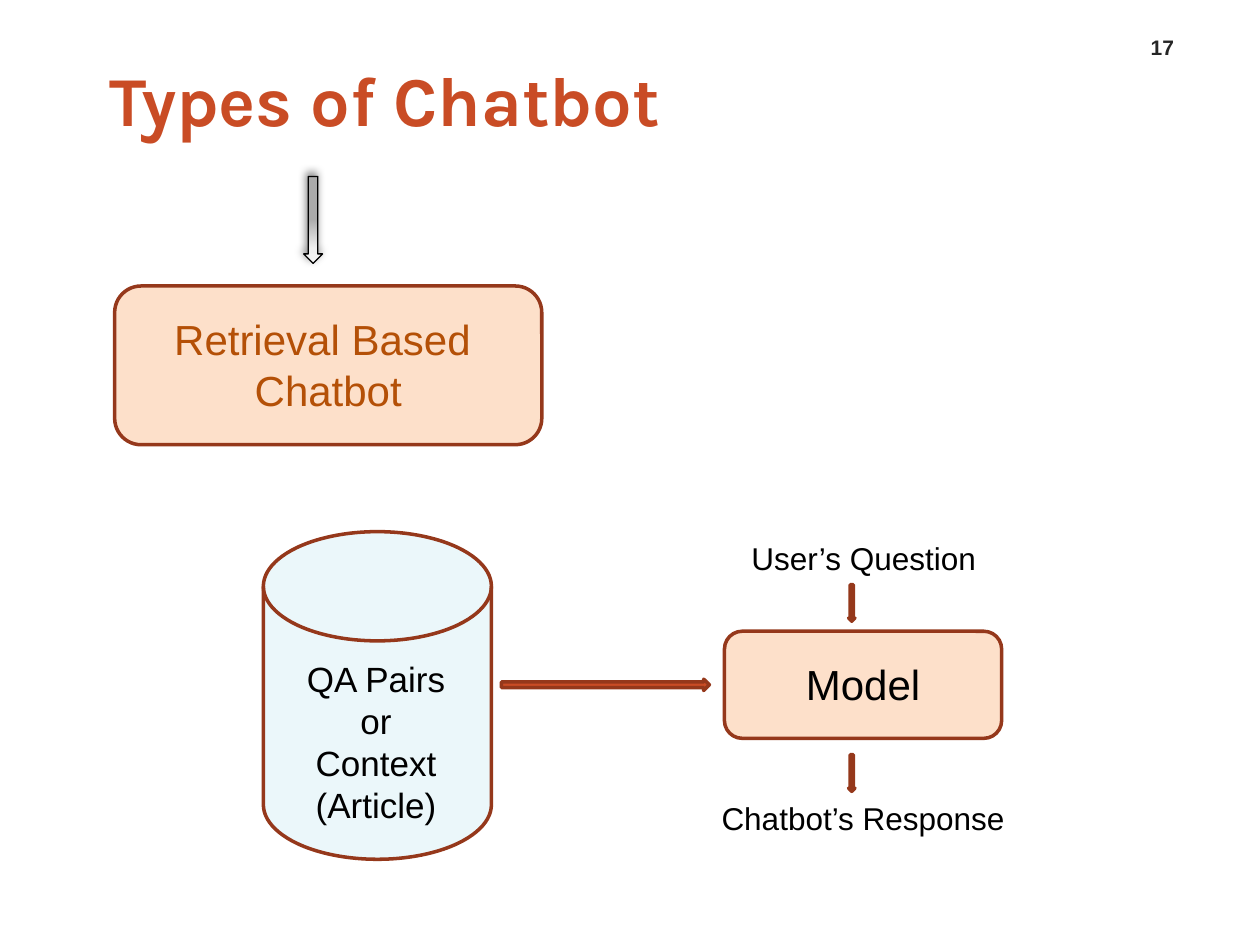
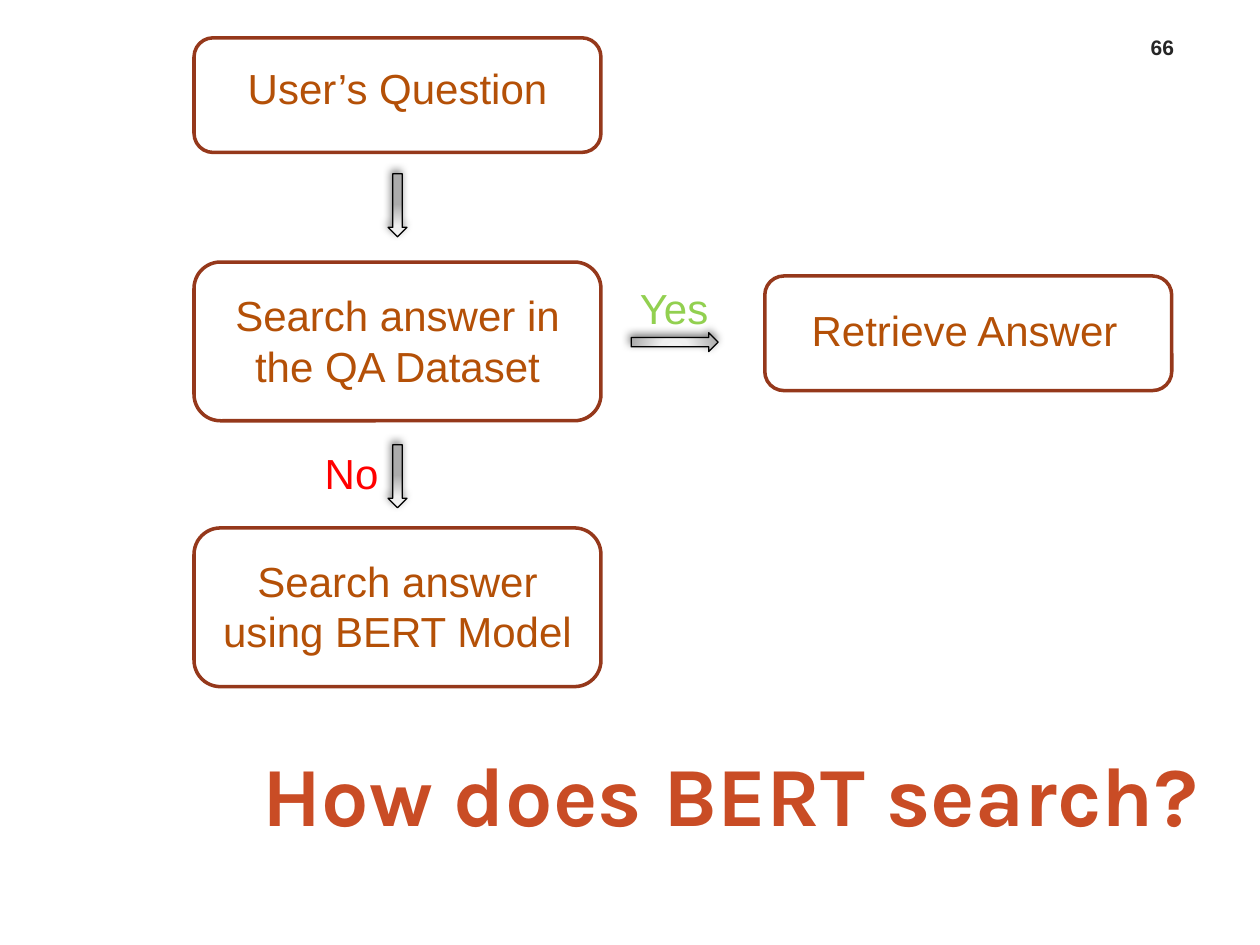
from lxml import etree
from pptx import Presentation
from pptx.dml.color import RGBColor
from pptx.enum.shapes import MSO_SHAPE
from pptx.enum.text import MSO_ANCHOR, PP_ALIGN
from pptx.oxml import parse_xml
from pptx.util import Inches, Pt

# The slide is a grid of 100 columns by 75 rows
CELL = Inches(0.1)
COLS, ROWS = 100, 75

RUST = RGBColor(0xC9, 0x4C, 0x25)
BROWN = RGBColor(0x95, 0x38, 0x1B)
AMBER = RGBColor(0xB4, 0x50, 0x07)
PEACH = RGBColor(0xFD, 0xE0, 0xCA)
ICE = RGBColor(0xEB, 0xF7, 0xFA)
BLACK = RGBColor(0, 0, 0)
GRAY = RGBColor(0x26, 0x26, 0x26)
GREEN = RGBColor(0x92, 0xD0, 0x50)
RED = RGBColor(0xFF, 0, 0)

ROUND = MSO_SHAPE.ROUNDED_RECTANGLE
DISK = MSO_SHAPE.FLOWCHART_MAGNETIC_DISK
DOWN = MSO_SHAPE.DOWN_ARROW
RIGHT = MSO_SHAPE.RIGHT_ARROW
LEFT, CENTER = PP_ALIGN.LEFT, PP_ALIGN.CENTER
TOP, MIDDLE, BOTTOM = MSO_ANCHOR.TOP, MSO_ANCHOR.MIDDLE, MSO_ANCHOR.BOTTOM

NS = 'xmlns:a="http://schemas.openxmlformats.org/drawingml/2006/main"'
SHEEN = f"""<a:gradFill {NS} rotWithShape="1"><a:gsLst>
<a:gs pos="0"><a:srgbClr val="F4F4F4"/></a:gs>
<a:gs pos="34000"><a:srgbClr val="EFEFEF"/></a:gs>
<a:gs pos="100000"><a:srgbClr val="ABABAB"/></a:gs></a:gsLst>
<a:path path="circle"><a:fillToRect l="110000" t="250000" r="110000" b="40000"/></a:path>
</a:gradFill>"""
SHADOW = f"""<a:effectLst {NS}><a:outerShdw blurRad="{Pt(5)}" dist="{Pt(2)}"
dir="{245 * 60000}" rotWithShape="0"><a:srgbClr val="000000"><a:alpha val="50000"/>
</a:srgbClr></a:outerShdw></a:effectLst>"""


def grid(*cells):
    return [round(n * CELL) for n in cells]


def write(slide, text, x, y, w, h, size=24, color=AMBER, font="Arial",
          bold=False, align=CENTER, anchor=TOP, indent=0, side=1):
    """Text in a box, one paragraph for each line."""
    frame = slide.shapes.add_textbox(*grid(x, y, w, h)).text_frame
    frame.word_wrap = True
    frame.vertical_anchor = anchor
    frame.margin_left = frame.margin_right = round(side * CELL)
    for i, line in enumerate(text.split("\n")):
        para = frame.paragraphs[0] if i == 0 else frame.add_paragraph()
        para.alignment = align
        if indent:
            para._p.get_or_add_pPr().set("marL", str(round(indent * CELL)))
        run = para.add_run()
        run.text = line
        run.font.name, run.font.size = font, Pt(size)
        run.font.bold, run.font.color.rgb = bold, color


def title(slide, text, x, y, w, h, size, align):
    write(slide, text, x, y, w, h, size=size, color=RUST, font="Karla",
          bold=True, align=align, anchor=MIDDLE, indent=2, side=0)


def shape(slide, kind, x, y, w, h, fill=None, line=BROWN, width=2):
    item = slide.shapes.add_shape(kind, *grid(x, y, w, h))
    item.shadow.inherit = False
    if fill is None:
        item.fill.background()
    else:
        item.fill.solid()
        item.fill.fore_color.rgb = fill
    item.line.color.rgb, item.line.width = line, Pt(width)
    return item


def card(slide, text, x, y, w, h, drop=1.7, shift=0, fill=None, color=AMBER):
    """Rounded box with its label set drop rows below the top."""
    shape(slide, ROUND, x, y, w, h, fill)
    write(slide, text, x + shift, y + drop, w, h - 2 * drop, color=color)


def arrow(slide, x, y, length, turn=0):
    """Glossy arrow with a soft shadow."""
    item = shape(slide, DOWN, x, y, 1.5, length, RUST, BLACK, 0.75)
    item.rotation = turn
    props = item._element.spPr
    fill = props.find(etree.QName(RUST_NS, "solidFill"))
    props.replace(fill, parse_xml(SHEEN))
    effect = props.find(etree.QName(RUST_NS, "effectLst"))
    props.replace(effect, parse_xml(SHADOW))


RUST_NS = "http://schemas.openxmlformats.org/drawingml/2006/main"


def page(deck, number):
    slide = deck.slides.add_slide(deck.slide_layouts[6])
    write(slide, number, 89.5, 1.9, 5.5, 3.3, size=12, color=GRAY,
          bold=True, anchor=BOTTOM)
    return slide


def types(deck):
    slide = page(deck, "17")
    title(slide, "Types of Chatbot", 6.7, 3.5, 48.8, 8.7, 40, LEFT)
    arrow(slide, 24.1, 14, 6.9)
    card(slide, "Retrieval Based \nChatbot", 9.1, 22.7, 33.9, 12.6, fill=PEACH)

    # Source of answers
    shape(slide, DISK, 20.9, 42.2, 18.1, 26, ICE)
    write(slide, "QA Pairs\nor\nContext (Article)", 22, 51.7, 15.7, 14.5,
          size=20, color=BLACK)

    # Question, model and response
    card(slide, "Model", 57.5, 50.1, 22, 8.5, fill=PEACH, color=BLACK)
    for text, x, y, w in (("User’s Question", 58.3, 42.3, 20.5),
                          ("Chatbot’s Response", 56.1, 62.9, 24.8)):
        write(slide, text, x, y, w, 4, size=18, color=BLACK)
    for y in (46.4, 59.9):
        shape(slide, DOWN, 67.35, y, 0.5, 2.9, RUST)
    shape(slide, RIGHT, 39.8, 53.9, 16.5, 0.9, RUST)


def search(deck):
    slide = page(deck, "66")
    left, wide, tall, low = 15.4, 32.3, 12.6, 9.1

    # Steps, top to bottom
    card(slide, "User’s Question", left, 3, wide, low, drop=1.5)
    card(slide, "Search answer in the QA Dataset", left, 20.8, wide, tall)
    card(slide, "Search answer using BERT Model", left, 41.9, wide, tall)
    for y in (13.8, 35.3):
        arrow(slide, left + wide / 2 - 0.75, y, 5)

    # Branches
    card(slide, "Retrieve Answer", 60.7, 21.9, wide, low, drop=1.8, shift=-0.3)
    arrow(slide, 52.8, 23.7, 6.9, turn=270)
    write(slide, "Yes", 49, 21.9, 9, 5, color=GREEN)
    write(slide, "No", 23.4, 35, 9, 5, color=RED)

    title(slide, "How does BERT search?", 16.4, 58.5, 81.1, 8.9, 48, CENTER)


def main():
    deck = Presentation()
    deck.slide_width, deck.slide_height = grid(COLS, ROWS)
    types(deck)
    search(deck)
    deck.save("out.pptx")


if __name__ == "__main__":
    main()
